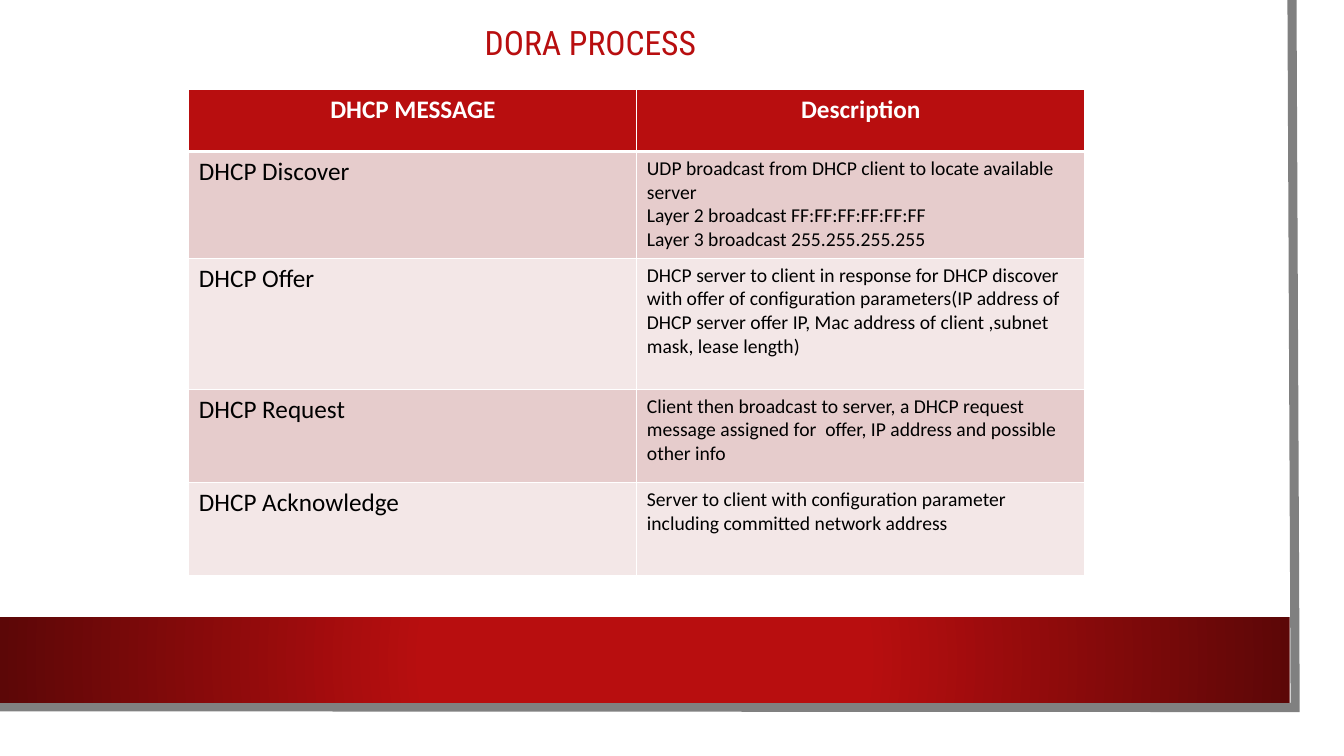
from typing import NamedTuple

from lxml import etree
from pptx import Presentation
from pptx.dml.color import RGBColor
from pptx.enum import shapes as kinds, text as txt
from pptx.oxml import ns, parse_xml
from pptx.util import Cm, Pt

RED, DARK, WHITE, BLACK, GREY = "B80E0F", "5C0707", "FFFFFF", "000000", "808080"
PINK, PALE = "E6CCCC", "F3E7E7"


class Row(NamedTuple):
    height: float
    name: str
    lines: list[str]


class Look(NamedTuple):
    size: int
    color: str
    font: str = "Calibri"
    bold: bool = False
    align: txt.PP_ALIGN = txt.PP_ALIGN.LEFT


HEAD = Look(18, WHITE, bold=True, align=txt.PP_ALIGN.CENTER)
NAME = Look(18, BLACK)
BODY = Look(14, BLACK)
TITLE = Look(24, RED, "Roboto Condensed", align=txt.PP_ALIGN.CENTER)

ROWS = [
    Row(1.57, "DHCP MESSAGE", ["Description"]),
    Row(2.69, "DHCP Discover", [
        "UDP broadcast from DHCP client to locate available server",
        "Layer 2 broadcast FF:FF:FF:FF:FF:FF",
        "Layer 3 broadcast 255.255.255.255"]),
    Row(3.3, "DHCP Offer", [
        "DHCP server to client in response for DHCP discover with offer of "
        "configuration parameters(IP address of DHCP server offer IP, Mac "
        "address of client ,subnet mask, lease length)"]),
    Row(2.35, "DHCP Request", [
        "Client then broadcast to server, a DHCP request message assigned "
        "for  offer, IP address and possible other info"]),
    Row(2.35, "DHCP Acknowledge", [
        "Server to client with configuration parameter including committed "
        "network address"]),
]


def paint(target, color: str) -> None:
    """Give a fill one solid colour."""
    target.solid()
    target.fore_color.rgb = RGBColor.from_string(color)


def write(frame, lines: list[str], look: Look) -> None:
    for i, line in enumerate(lines):
        para = frame.add_paragraph() if i else frame.paragraphs[0]
        para.alignment = look.align
        run = para.add_run()
        run.text = line
        run.font.name, run.font.size, run.font.bold = look.font, Pt(look.size), look.bold
        paint(run.font.fill, look.color)


def add_rect(slide, left: float, top: float, width: float, height: float):
    rect = slide.shapes.add_shape(kinds.MSO_SHAPE.RECTANGLE,
                                  Cm(left), Cm(top), Cm(width), Cm(height))
    rect.shadow.inherit = False
    rect.line.fill.background()
    paint(rect.fill, WHITE)
    return rect


def add_glow(rect) -> None:
    """Fade the fill from a red centre to dark edges."""
    grad = parse_xml(
        f'<a:gradFill {ns.nsdecls("a")} rotWithShape="1"><a:gsLst>'
        f'<a:gs pos="34000"><a:srgbClr val="{RED}"/></a:gs>'
        f'<a:gs pos="100000"><a:srgbClr val="{DARK}"/></a:gs></a:gsLst>'
        '<a:path path="circle">'
        '<a:fillToRect l="50000" t="50000" r="50000" b="50000"/></a:path></a:gradFill>')
    solid = rect.element.spPr.find(ns.qn("a:solidFill"))
    solid.getparent().replace(solid, grad)


def add_edge(slide) -> None:
    pen = slide.shapes.build_freeform(Cm(32.56), Cm(0))
    pen.add_line_segments([(Cm(32.64), Cm(17.83)), (Cm(-0.08), Cm(17.81))], close=False)
    edge = pen.convert_to_shape()
    edge.shadow.inherit = False
    edge.fill.background()
    edge.line.width = Pt(6.5)
    paint(edge.line.fill, GREY)
    etree.SubElement(edge.line._get_or_add_ln(), ns.qn("a:miter"), lim="800000")


def set_border(cell, base: float) -> None:
    """Draw white cell borders, with the bottom one in its own width."""
    props = cell._tc.get_or_add_tcPr()
    for side, width in (("L", 1), ("R", 1), ("T", 1), ("B", base)):
        line = etree.SubElement(props, ns.qn(f"a:ln{side}"), w=str(Pt(width)))
        solid = etree.SubElement(line, ns.qn("a:solidFill"))
        etree.SubElement(solid, ns.qn("a:srgbClr"), val=WHITE)


def add_grid(slide) -> None:
    total = sum(row.height for row in ROWS)
    grid = slide.shapes.add_table(len(ROWS), 2, Cm(4.76), Cm(2.25),
                                  Cm(22.58), Cm(total)).table
    grid.first_row = grid.horz_banding = False
    for i, row in enumerate(ROWS):
        grid.rows[i].height = Cm(row.height)
        color = RED if i == 0 else PINK if i % 2 else PALE
        for j, lines in enumerate(([row.name], row.lines)):
            cell = grid.cell(i, j)
            set_border(cell, 1 if i else 3)
            paint(cell.fill, color)
            write(cell.text_frame, lines, (NAME, BODY)[j] if i else HEAD)


def add_title(slide) -> None:
    title = slide.shapes.title
    title.left, title.top, title.width, title.height = Cm(1.9), Cm(0.25), Cm(25.96), Cm(1.73)
    title.text_frame.vertical_anchor = txt.MSO_ANCHOR.MIDDLE
    write(title.text_frame, ["DORA PROCESS"], TITLE)
    title.text_frame.paragraphs[0].line_spacing = 0.9
    slide.shapes.element.append(title.element)


def main() -> None:
    deck = Presentation()
    deck.slide_width, deck.slide_height = Cm(33.87), Cm(19.05)
    slide = deck.slides.add_slide(deck.slide_layouts[5])
    add_rect(slide, 0, 0, 33.27, 18.47)
    add_edge(slide)
    add_glow(add_rect(slide, 0, 15.55, 32.5, 2.16))
    add_title(slide)
    add_grid(slide)
    deck.save("out.pptx")


if __name__ == "__main__":
    main()
